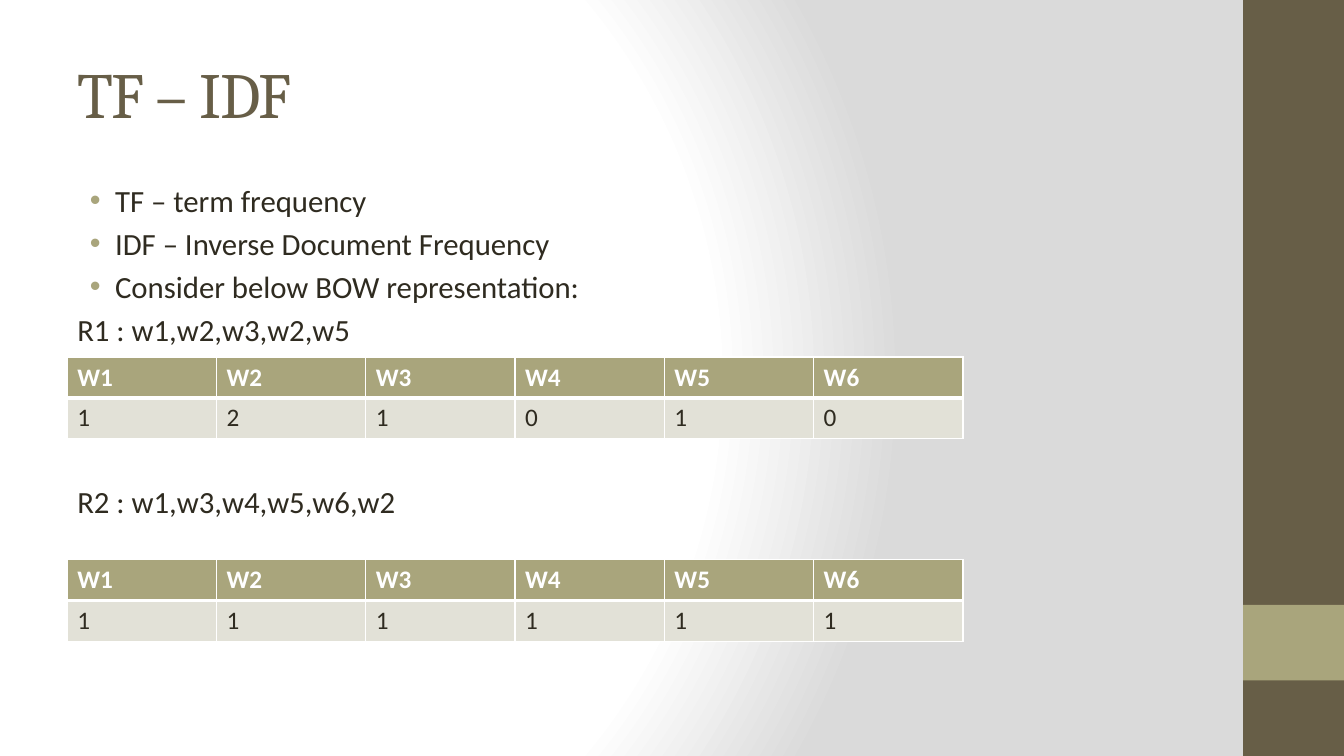
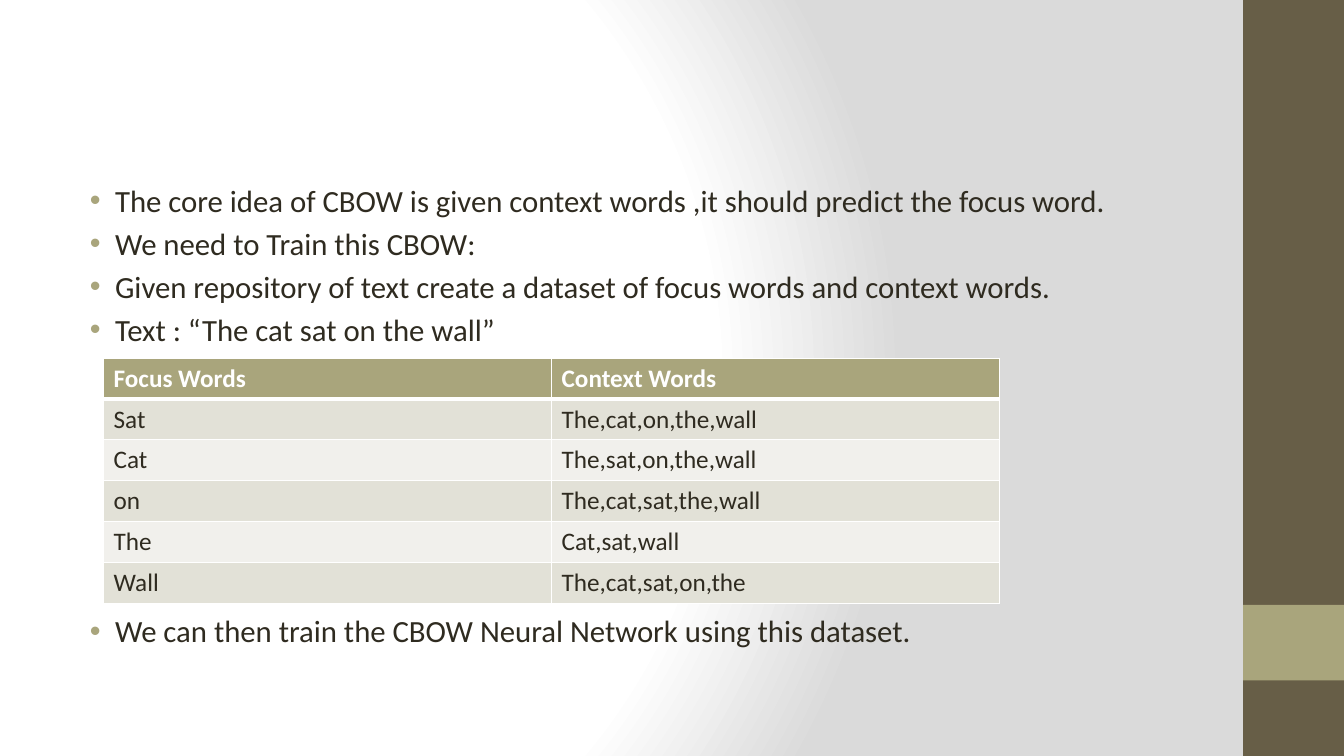
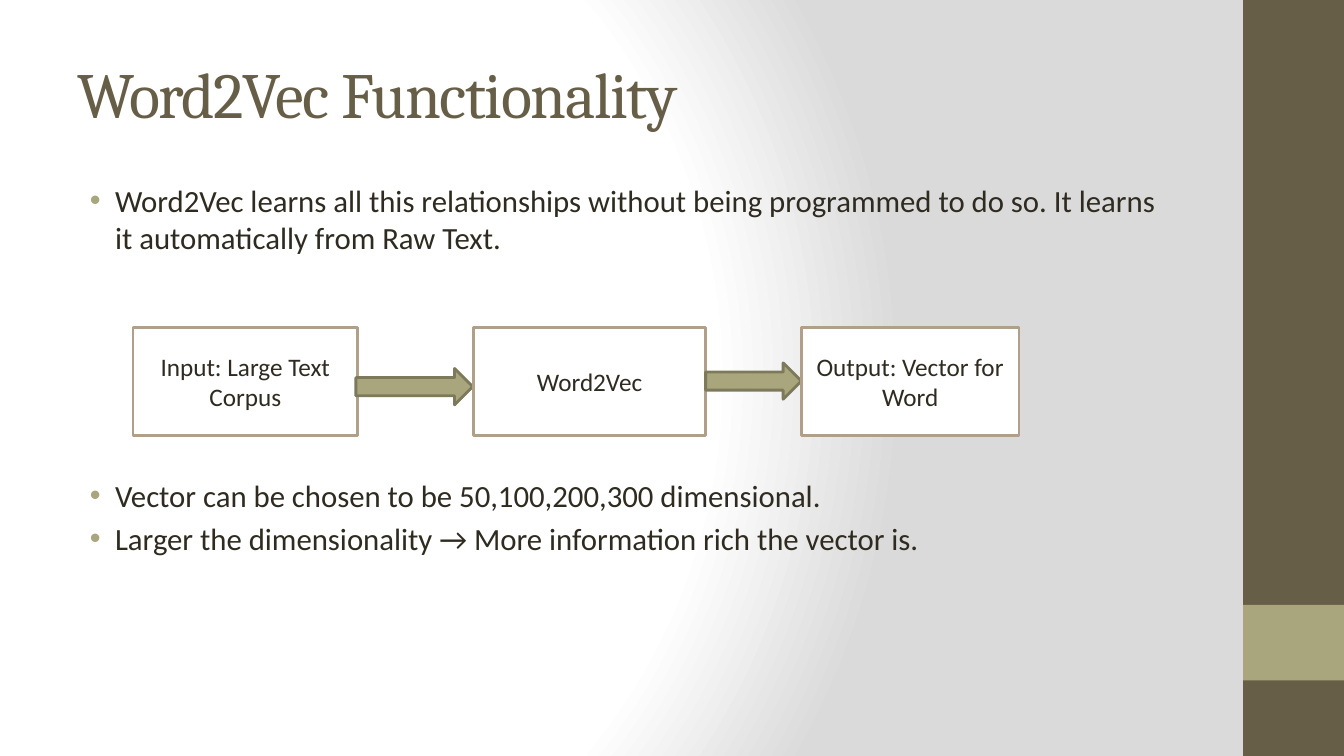
from pptx import Presentation
from pptx.dml.color import RGBColor
from pptx.enum.shapes import MSO_SHAPE
from pptx.enum.text import MSO_ANCHOR, PP_ALIGN
from pptx.oxml import parse_xml
from pptx.util import Pt

RECT, ARROW = MSO_SHAPE.RECTANGLE, MSO_SHAPE.RIGHT_ARROW
MIDDLE, CENTER = MSO_ANCHOR.MIDDLE, PP_ALIGN.CENTER

WIDTH, HEIGHT = 960, 540
BROWN, OLIVE, INK, WHITE = "675E47", "A9A57C", "2F2B20", "FFFFFF"
ROW_DARK, ROW_LIGHT = "E2E1D7", "F1F0EC"
BOX_LINE, ARROW_LINE = "B1A089", "7D7A5C"
HEAD_FONT, BODY_FONT = "Cambria", "Calibri"

TITLE_BOX = (48, 21.6, 800, 90)
BODY_BOX = (48, 126, 800, 378)
LINE_STEP, LINE_GAP = 30.8, 4  # body line pitch and the space above a line
ROW_H, TABLE_W = 29.2, 640

NS = ('xmlns:a="http://schemas.openxmlformats.org/drawingml/2006/main" '
      'xmlns:p="http://schemas.openxmlformats.org/presentationml/2006/main"')

BACKGROUND = f"""<p:bg {NS}><p:bgPr><a:gradFill rotWithShape="1"><a:gsLst>
<a:gs pos="0"><a:srgbClr val="FFFFFF"/></a:gs>
<a:gs pos="75000"><a:srgbClr val="FFFFFF"/></a:gs>
<a:gs pos="100000"><a:srgbClr val="DADADA"/></a:gs></a:gsLst>
<a:path path="circle"><a:fillToRect l="20000" t="50000" r="100000" b="50000"/></a:path>
</a:gradFill><a:effectLst/></p:bgPr></p:bg>"""

TITLE_STYLE = f"""<a:lvl1pPr {NS} algn="l"><a:spcBef><a:spcPct val="0"/></a:spcBef><a:buNone/>
<a:defRPr sz="4600" spc="-100"><a:solidFill><a:srgbClr val="{BROWN}"/></a:solidFill>
<a:latin typeface="{HEAD_FONT}"/></a:defRPr></a:lvl1pPr>"""

BODY_STYLE = f"""<a:lvl1pPr {NS} marL="342900" indent="-228600" algn="l">
<a:spcBef><a:spcPct val="20000"/></a:spcBef>
<a:buClr><a:srgbClr val="{OLIVE}"/></a:buClr><a:buFont typeface="Arial"/><a:buChar char="•"/>
<a:defRPr sz="2200"><a:solidFill><a:srgbClr val="{INK}"/></a:solidFill>
<a:latin typeface="{BODY_FONT}"/></a:defRPr></a:lvl1pPr>"""


def color(value):
    return RGBColor.from_string(value)


def place(shape, box):
    shape.left, shape.top, shape.width, shape.height = map(Pt, box)


def swap(old, xml):
    old.getparent().replace(old, parse_xml(xml))


def add_box(s, kind, box, fill, line=None):
    sp = s.shapes.add_shape(kind, *map(Pt, box))
    sp.shadow.inherit = False
    sp.fill.solid()
    sp.fill.fore_color.rgb = color(fill)
    if line:
        sp.line.color.rgb = color(line)
        sp.line.width = Pt(2)
    else:
        sp.line.fill.background()
    return sp


def format_run(r, size, fill, bold=False):
    r.font.name, r.font.size, r.font.bold = BODY_FONT, Pt(size), bold
    r.font.color.rgb = color(fill)


def style_master(master):
    root = master.element
    swap(root.xpath("p:cSld/p:bg")[0], BACKGROUND)
    swap(root.xpath("p:txStyles/p:titleStyle/a:lvl1pPr")[0], TITLE_STYLE)
    swap(root.xpath("p:txStyles/p:bodyStyle/a:lvl1pPr")[0], BODY_STYLE)
    for ph, box in zip(master.placeholders, (TITLE_BOX, BODY_BOX)):
        place(ph, box)


def add_side_band(s, master, box):
    """Draw the band with its accent block and move it to the master."""
    left, top, width, height = box
    parts = [(box, BROWN), ((left, top + height * 0.8, width, height * 0.1), OLIVE)]
    for i, (part, fill) in enumerate(parts):
        sp = add_box(s, RECT, part, fill)
        sp.element.nvSpPr.cNvPr.set("id", str(101 + i))
        master.shapes.element.insert(2 + i, sp.element)


def add_content_slide(prs, title, lines):
    """lines holds (text, bulleted, number of lines left free above)."""
    s = prs.slides.add_slide(prs.slide_layouts[1])
    if title:
        s.shapes.title.text = title
    else:
        s.shapes.title.element.getparent().remove(s.shapes.title.element)
    tf = s.placeholders[1].text_frame
    tf.text = "\n".join(text for text, _, _ in lines)
    for p, (_, bulleted, free) in zip(tf.paragraphs, lines):
        if free:
            p.space_before = Pt(round(free * LINE_STEP + LINE_GAP, 2))
        if not bulleted:
            pPr = p._p.get_or_add_pPr()
            pPr.set("marL", "0")
            pPr.set("indent", "0")
            pPr.append(parse_xml(f"<a:buNone {NS}/>"))
    return s


def set_borders(cell, widths):
    tcPr = cell._tc.get_or_add_tcPr()
    for i, (side, width) in enumerate(zip("LRTB", widths)):
        tcPr.insert(i, parse_xml(
            f'<a:ln{side} {NS} w="{Pt(width)}"><a:solidFill><a:srgbClr val="{WHITE}"/>'
            f'</a:solidFill></a:ln{side}>'))


def add_grid(s, left, top, rows):
    frame = s.shapes.add_table(len(rows), len(rows[0]), Pt(left), Pt(top),
                               Pt(TABLE_W), Pt(ROW_H * len(rows)))
    for i, row in enumerate(rows):
        header = i == 0
        fill = OLIVE if header else ROW_DARK if i % 2 else ROW_LIGHT
        for j, text in enumerate(row):
            cell = frame.table.cell(i, j)
            cell.text = text
            cell.fill.solid()
            cell.fill.fore_color.rgb = color(fill)
            set_borders(cell, (1, 1, 3 if i == 1 else 1, 3 if header else 1))
            format_run(cell.text_frame.paragraphs[0].runs[0], 18,
                       WHITE if header else INK, header)


def add_flow(s, left, top, height, steps):
    """steps holds (text, x, width); a step without text is an arrow (x, y, width)."""
    for text, x, y, width in steps:
        if not text:
            add_box(s, ARROW, (left + x, top + y, width, 26), OLIVE, ARROW_LINE)
            continue
        sp = add_box(s, RECT, (left + x, top + y, width, height), WHITE, BOX_LINE)
        tf = sp.text_frame
        tf.word_wrap = True
        tf.vertical_anchor = MIDDLE
        tf.text = text
        p = tf.paragraphs[0]
        p.alignment = CENTER
        format_run(p.runs[0], 18, INK)


def main():
    prs = Presentation()
    prs.slide_width, prs.slide_height = Pt(WIDTH), Pt(HEIGHT)
    master = prs.slide_master
    style_master(master)

    s = add_content_slide(prs, "TF – IDF", [
        ("TF – term frequency", True, 0),
        ("IDF – Inverse Document Frequency", True, 0),
        ("Consider below BOW representation:", True, 0),
        ("R1 : w1,w2,w3,w2,w5", False, 0),
        ("R2 : w1,w3,w4,w5,w6,w2", False, 3),
    ])
    add_side_band(s, master, (WIDTH - 72, 0, 72, HEIGHT))
    words = [f"W{n}" for n in range(1, 7)]
    for top, counts in ((255, "121010"), (399.8, "111111")):
        add_grid(s, 48, top, [words, counts])

    s = add_content_slide(prs, None, [
        ("The core idea of CBOW is given context words ,it should predict the focus word.", True, 0),
        ("We need to Train this CBOW:", True, 0),
        ("Given repository of text create a dataset of focus words and context words.", True, 0),
        ("Text : “The cat sat on the wall”", True, 0),
        ("We can then train the CBOW Neural Network using this dataset.", True, 6),
    ])
    add_grid(s, 74, 255.8, [
        ("Focus Words", "Context Words"),
        ("Sat", "The,cat,on,the,wall"),
        ("Cat", "The,sat,on,the,wall"),
        ("on", "The,cat,sat,the,wall"),
        ("The", "Cat,sat,wall"),
        ("Wall", "The,cat,sat,on,the"),
    ])

    s = add_content_slide(prs, "Word2Vec Functionality", [
        ("Word2Vec learns all this relationships without being programmed to do so. "
         "It learns it automatically from Raw Text.", True, 0),
        ("Vector can be chosen to be 50,100,200,300 dimensional.", True, 5),
        ("Larger the dimensionality → More information rich the vector is.", True, 0),
    ])
    add_flow(s, 95, 234, 77, [
        ("Input: Large Text Corpus", 0, 0, 160.6),
        ("", 159.2, 29.2, 83.5),
        ("Word2Vec", 243.4, 0, 165.6),
        ("", 409, 25.2, 68.4),
        ("Output: Vector for Word", 477.4, 0, 155.5),
    ])

    prs.save("out.pptx")


if __name__ == "__main__":
    main()
